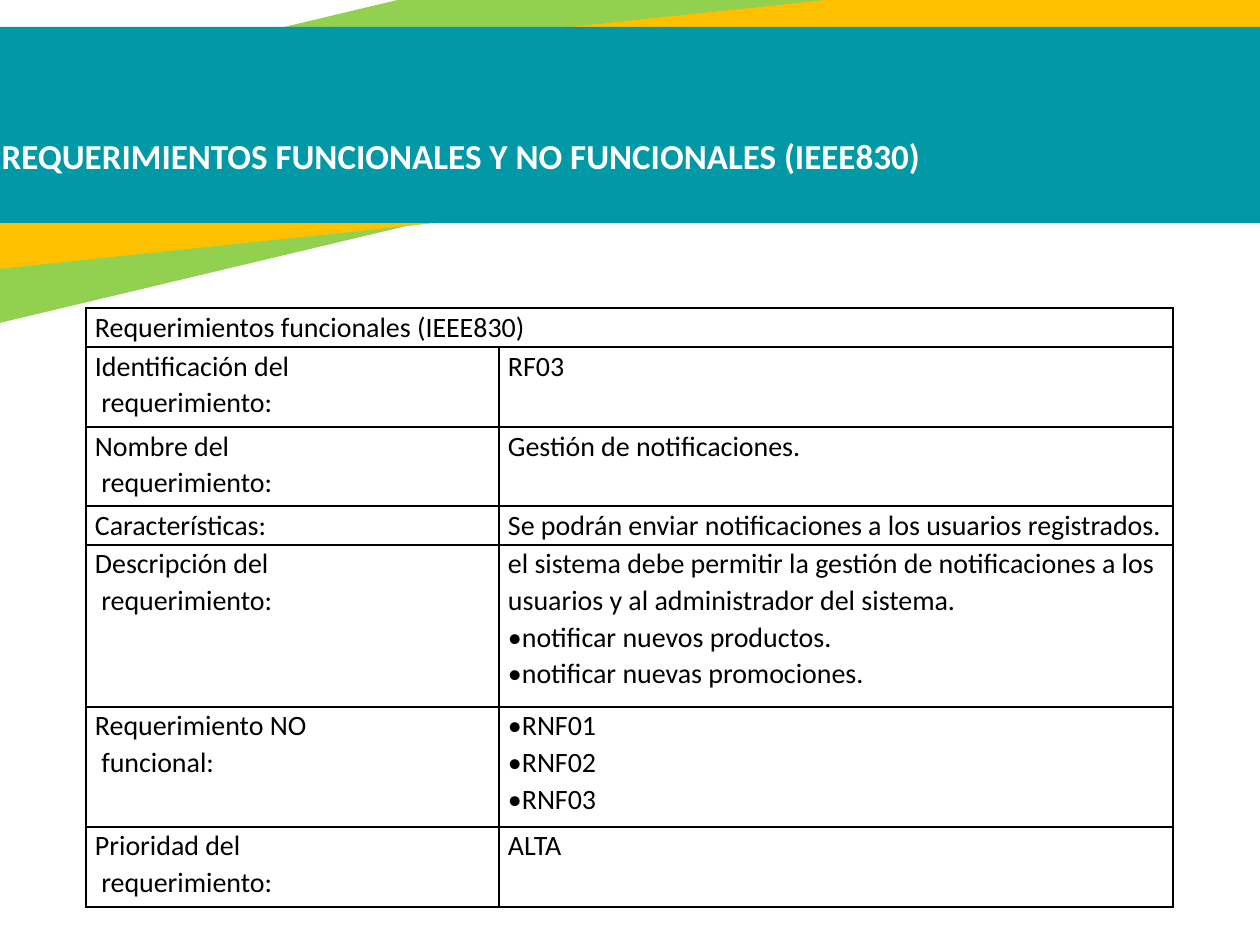
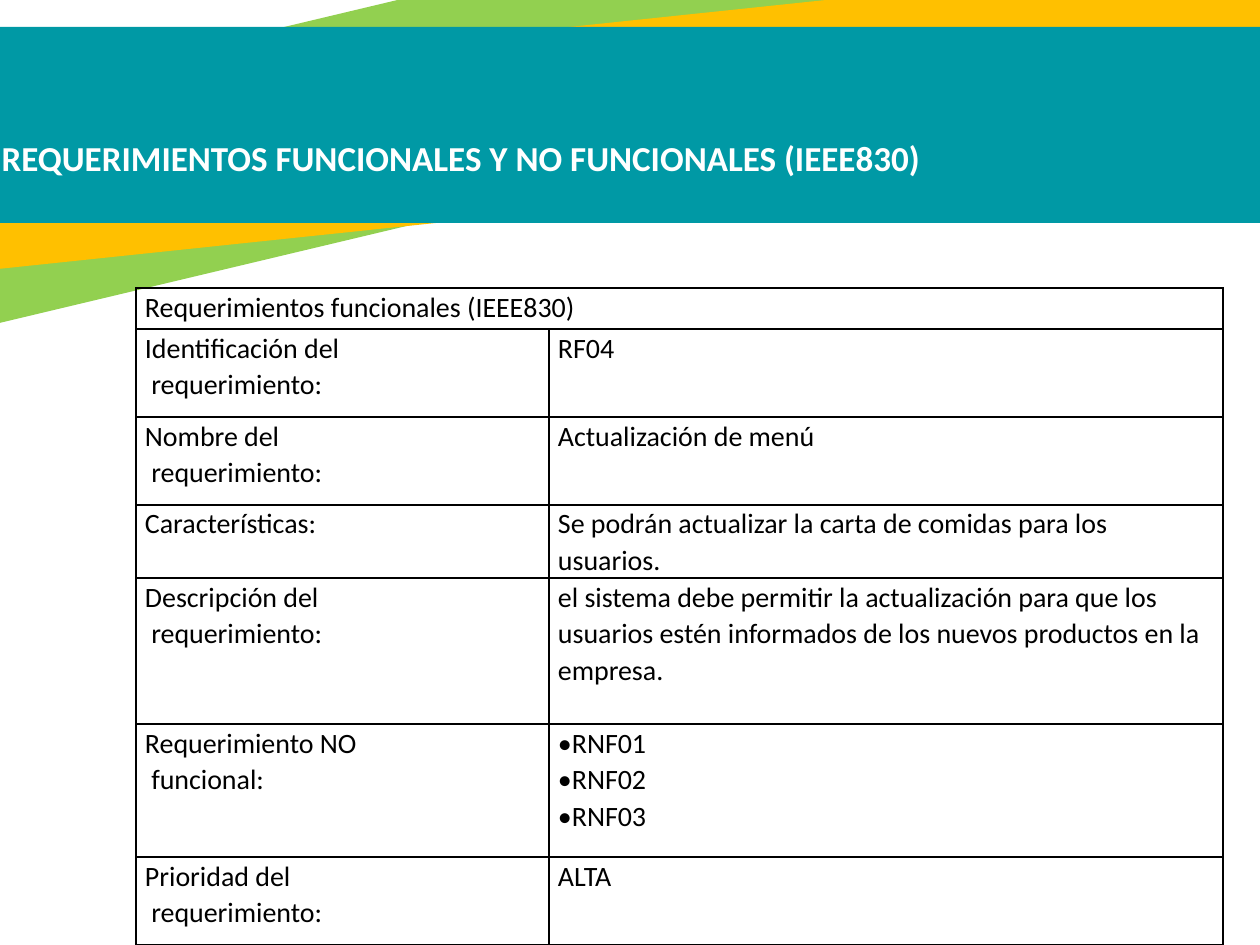
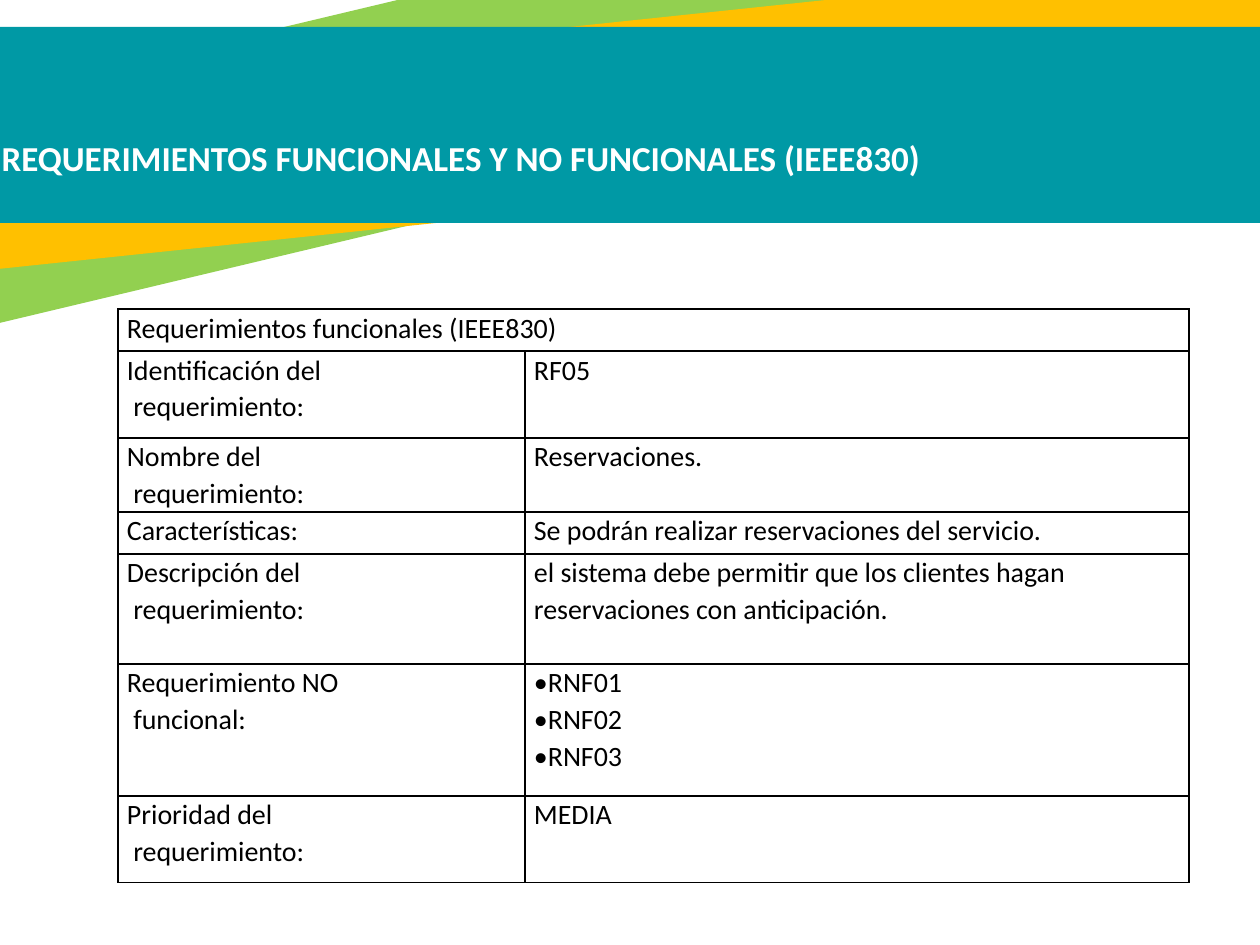
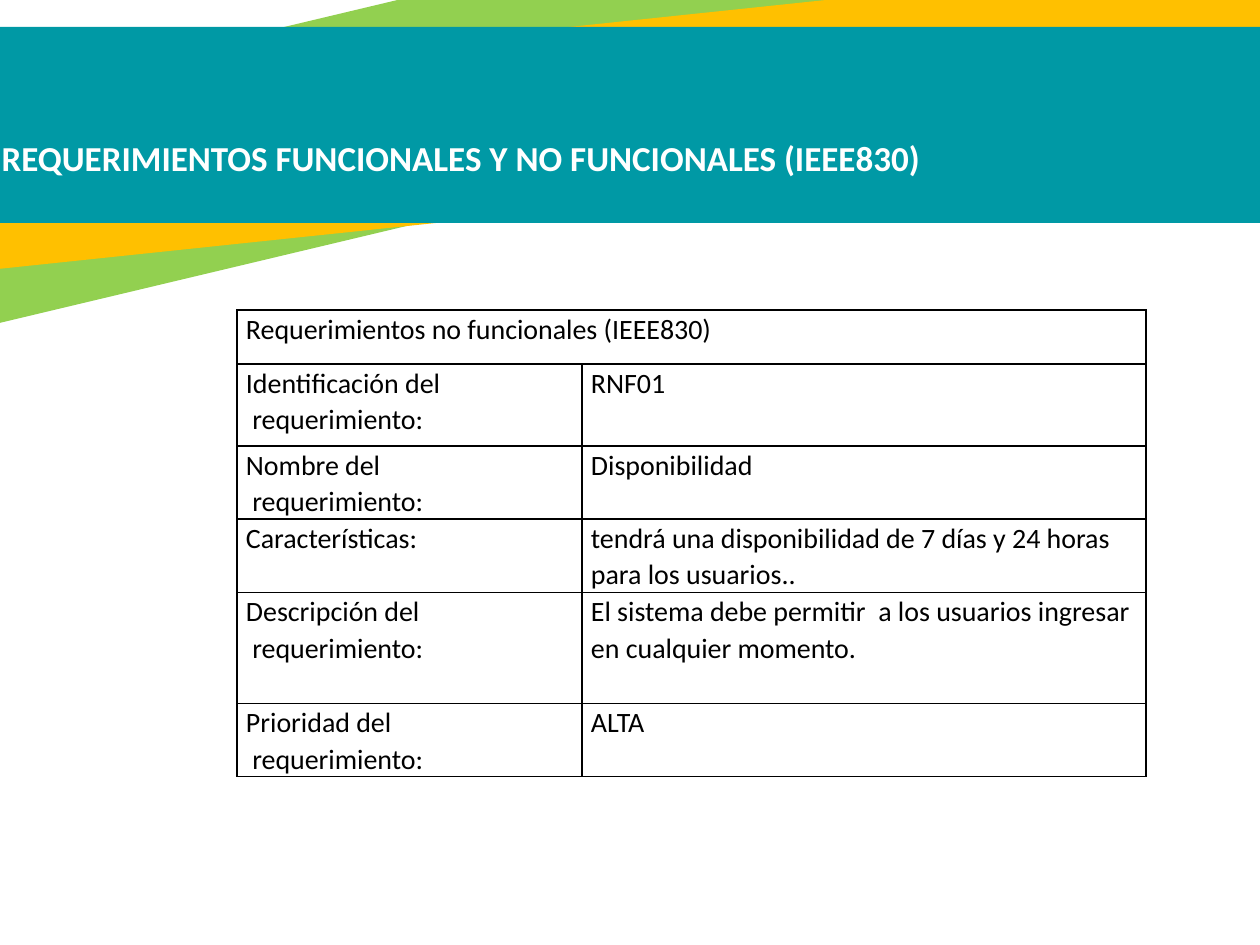
from lxml.etree import SubElement
from pptx import Presentation
from pptx.dml.color import RGBColor
from pptx.enum.shapes import MSO_SHAPE
from pptx.enum.text import MSO_ANCHOR, MSO_AUTO_SIZE, PP_ALIGN
from pptx.oxml.ns import qn
from pptx.util import Pt

EMU_PER_PX = 914400 / 126
COLORS = {
    "green": "92D050",
    "yellow": "FFC000",
    "teal": "0099A5",
    "white": "FFFFFF",
    "black": "000000",
}
TITLE = "REQUERIMIENTOS FUNCIONALES Y NO FUNCIONALES (IEEE830)"
TITLE_FONT = {"name": "Calibri", "size": Pt(20), "bold": True}
CELL_FONT = {"name": "Calibri", "size": Pt(16), "bold": False}
TITLE_FRAME = {
    "word_wrap": True,
    "auto_size": MSO_AUTO_SIZE.NONE,
    "vertical_anchor": MSO_ANCHOR.TOP,
}
TABLE_FLAGS = {"first_row": False, "horz_banding": False}
CELL_FORMAT = {"vertical_anchor": MSO_ANCHOR.TOP}

# color, box (left, top, width, height), rotation
BANDS = [
    ("green", (-316, -23, 1646, 222), 346.6),
    ("yellow", (-139, 25, 1465, 181), 354),
    ("teal", (-134, 27, 1465, 196), 0),
]

FUNCTIONAL = "Requerimientos funcionales (IEEE830)"
NON_FUNCTIONAL = "Requerimientos no funcionales (IEEE830)"
IDENTIFIER = "Identificación del\n requerimiento:"
NAME = "Nombre del\n requerimiento:"
FEATURES = "Características:"
DESCRIPTION = "Descripción del\n requerimiento:"
LINKED = "Requerimiento NO\n funcional:"
PRIORITY = "Prioridad del\n requerimiento:"
LINKED_LIST = "•RNF01\n•RNF02\n•RNF03"

REQUIREMENTS = [
    {
        "title_top": 128,
        "corner": (86, 308),
        "columns": [413, 674],
        "rows": [39, 80, 79, 39, 162, 120, 80],
        "heading": FUNCTIONAL,
        "fields": {
            IDENTIFIER: "RF03",
            NAME: "Gestión de notificaciones.",
            FEATURES: "Se podrán enviar notificaciones a los usuarios registrados.",
            DESCRIPTION: "el sistema debe permitir la gestión de notificaciones a los "
                         "usuarios y al administrador del sistema.\n"
                         "•notificar nuevos productos.\n•notificar nuevas promociones.",
            LINKED: LINKED_LIST,
            PRIORITY: "ALTA",
        },
    },
    {
        "title_top": 130,
        "corner": (136, 288),
        "columns": [413, 674],
        "rows": [41, 88, 88, 73, 146, 133, 88],
        "heading": FUNCTIONAL,
        "fields": {
            IDENTIFIER: "RF04",
            NAME: "Actualización de menú",
            FEATURES: "Se podrán actualizar la carta de comidas para los usuarios.",
            DESCRIPTION: "el sistema debe permitir la actualización para que los usuarios "
                         "estén informados de los nuevos productos en la empresa.",
            LINKED: LINKED_LIST,
            PRIORITY: "ALTA",
        },
    },
    {
        "title_top": 130,
        "corner": (118, 309),
        "columns": [407, 664],
        "rows": [42, 87, 74, 42, 110, 132, 87],
        "heading": FUNCTIONAL,
        "fields": {
            IDENTIFIER: "RF05",
            NAME: "Reservaciones.",
            FEATURES: "Se podrán realizar reservaciones del servicio.",
            DESCRIPTION: "el sistema debe permitir que los clientes hagan reservaciones "
                         "con anticipación.",
            LINKED: LINKED_LIST,
            PRIORITY: "MEDIA",
        },
    },
    {
        "title_top": 130,
        "corner": (237, 310),
        "columns": [345, 564],
        "rows": [54, 82, 73, 73, 111, 73],
        "heading": NON_FUNCTIONAL,
        "fields": {
            IDENTIFIER: "RNF01",
            NAME: "Disponibilidad",
            FEATURES: "tendrá una disponibilidad de 7 días y 24 horas para los usuarios..",
            DESCRIPTION: "El sistema debe permitir  a los usuarios ingresar en cualquier "
                         "momento.",
            PRIORITY: "ALTA",
        },
    },
]


def px(length):
    return round(length * EMU_PER_PX)


def color(name):
    return RGBColor.from_string(COLORS[name])


def set_attributes(target, values):
    for name, value in values.items():
        setattr(target, name, value)


def style_font(font, values, color_name):
    set_attributes(font, values)
    font.color.rgb = color(color_name)


def add_bands(slide, layout):
    """Draw the header bands and move them behind everything on the layout."""
    for index, (color_name, box, rotation) in enumerate(BANDS):
        band = slide.shapes.add_shape(MSO_SHAPE.RECTANGLE, *map(px, box))
        band.rotation = rotation
        band.shadow.inherit = False
        band.fill.solid()
        band.fill.fore_color.rgb = color(color_name)
        band.line.fill.background()
        layout.shapes.element.insert(2 + index, band.element)


def fill_title(title, box):
    places = zip(("left", "top", "width", "height"), map(px, box))
    set_attributes(title, dict(places))
    title.text_frame.text = TITLE
    set_attributes(title.text_frame, TITLE_FRAME)
    paragraph = title.text_frame.paragraphs[0]
    paragraph.alignment = PP_ALIGN.LEFT
    style_font(paragraph.runs[0].font, TITLE_FONT, "white")


def add_borders(cell):
    properties = cell._tc.get_or_add_tcPr()
    for index, side in enumerate(("lnL", "lnR", "lnT", "lnB")):
        line = SubElement(properties, qn(f"a:{side}"), w=str(Pt(1)))
        fill = SubElement(line, qn("a:solidFill"))
        SubElement(fill, qn("a:srgbClr"), val=COLORS["black"])
        properties.insert(index, line)


def fill_cell(cell, text):
    cell.text = text
    set_attributes(cell, CELL_FORMAT)
    set_attributes(cell, {"margin_left": px(9), "margin_right": px(9),
                          "margin_top": 0, "margin_bottom": 0})
    cell.fill.background()
    add_borders(cell)
    for paragraph in cell.text_frame.paragraphs:
        paragraph.line_spacing = 1.07
        style_font(paragraph.font, CELL_FONT, "black")
        for run in paragraph.runs:
            style_font(run.font, CELL_FONT, "black")


def add_requirement_table(slide, requirement):
    columns, rows = requirement["columns"], requirement["rows"]
    box = (*requirement["corner"], sum(columns), sum(rows))
    table = slide.shapes.add_table(len(rows), len(columns), *map(px, box)).table
    set_attributes(table, TABLE_FLAGS)
    for column, width in zip(table.columns, columns):
        column.width = px(width)
    for row, height in zip(table.rows, rows):
        row.height = px(height)
    table.cell(0, 0).merge(table.cell(0, 1))
    contents = [(requirement["heading"], ""), *requirement["fields"].items()]
    for row, texts in zip(table.rows, contents):
        for cell, text in zip(row.cells, texts):
            fill_cell(cell, text)


def add_requirement_slide(presentation, layout, requirement):
    slide = presentation.slides.add_slide(layout)
    fill_title(slide.shapes.title, (-11, requirement["title_top"], 1021, 55))
    add_requirement_table(slide, requirement)
    return slide


def main():
    presentation = Presentation()
    presentation.slide_width, presentation.slide_height = px(1260), px(945)
    layout = presentation.slide_layouts.get_by_name("Title Only")
    slides = [add_requirement_slide(presentation, layout, requirement)
              for requirement in REQUIREMENTS]
    add_bands(slides[0], layout)
    presentation.save("out.pptx")


if __name__ == "__main__":
    main()
